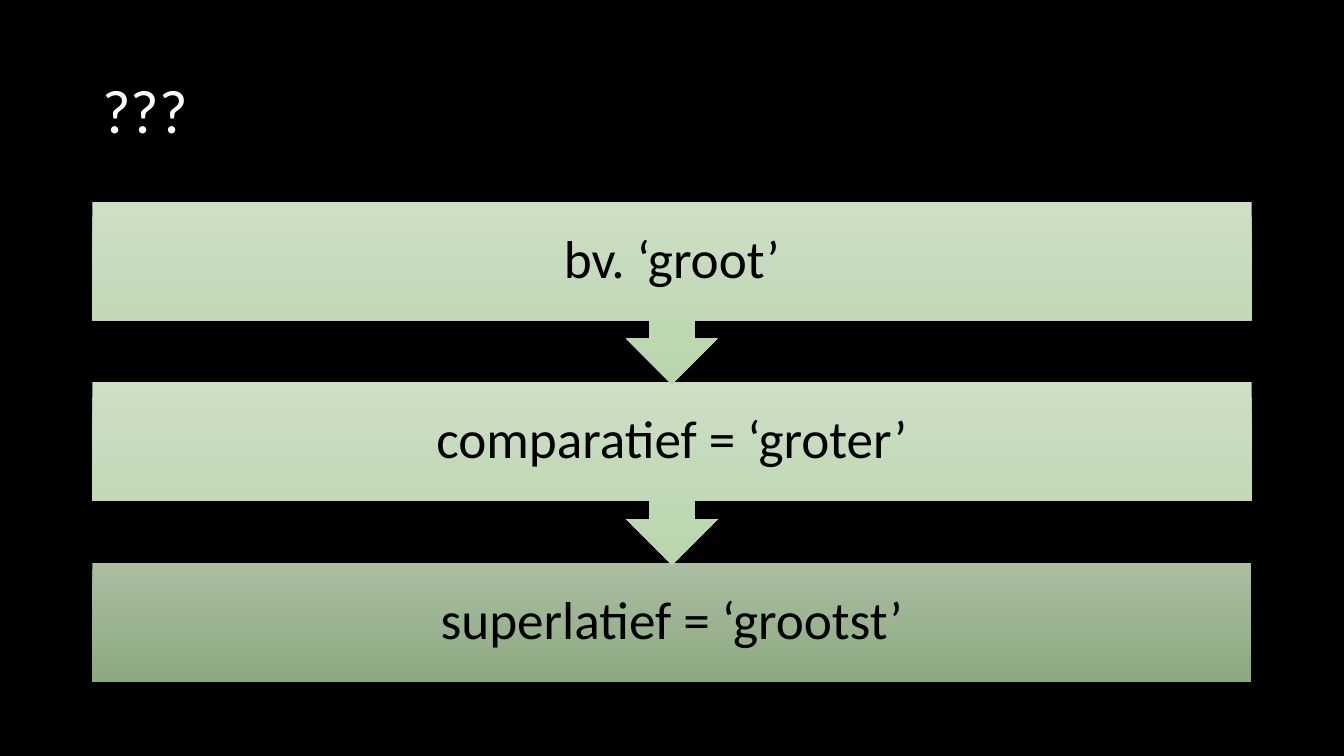
from pptx import Presentation
from pptx.dml.color import RGBColor
from pptx.enum.shapes import MSO_SHAPE as Shape
from pptx.enum.text import MSO_ANCHOR as Anchor, PP_ALIGN as Align
from pptx.util import Pt

BLACK = RGBColor(0x00, 0x00, 0x00)
WHITE = RGBColor(0xFF, 0xFF, 0xFF)
LIGHT = (RGBColor(0xCD, 0xDF, 0xC5), RGBColor(0xBA, 0xD5, 0xAE))
DARK = (RGBColor(0xAA, 0xBE, 0xA2), RGBColor(0x8D, 0xA9, 0x82))
LEFT, WIDTH = 66, 828
TOP, STEP = 144, 129


def write(frame, text, size, color, align):
    frame.word_wrap = True
    frame.vertical_anchor = Anchor.MIDDLE
    para = frame.paragraphs[0]
    para.alignment = align
    para.line_spacing = 0.9
    run = para.add_run()
    run.text = text
    run.font.name = "Calibri"
    run.font.size = Pt(size)
    run.font.color.rgb = color


deck = Presentation()
deck.slide_width, deck.slide_height = Pt(960), Pt(540)
slide = deck.slides.add_slide(deck.slide_layouts[6])
slide.background.fill.solid()
slide.background.fill.fore_color.rgb = BLACK

# Title
title = slide.shapes.add_textbox(Pt(LEFT), Pt(28.8), Pt(WIDTH), Pt(104.4))
write(title.text_frame, "???", 44, WHITE, Align.LEFT)

# Steps of comparison, the last one without an arrow
steps = [
    ("bv. ‘groot’", Shape.DOWN_ARROW_CALLOUT, 130.5, LIGHT),
    ("comparatief = ‘groter’", Shape.DOWN_ARROW_CALLOUT, 130.5, LIGHT),
    ("superlatief = ‘grootst’", Shape.RECTANGLE, 85, DARK),
]
# Draw from the bottom up so each arrow tip lies over the next step
for i, (text, kind, height, shades) in reversed(list(enumerate(steps))):
    step = slide.shapes.add_shape(
        kind, Pt(LEFT), Pt(TOP + i * STEP), Pt(WIDTH), Pt(height))
    step.shadow.inherit = False
    step.line.fill.background()
    step.fill.gradient()
    step.fill.gradient_angle = 270
    for stop, shade in zip(step.fill.gradient_stops, shades):
        stop.color.rgb = shade
    frame = step.text_frame
    frame.margin_left = frame.margin_right = Pt(21.6)
    frame.margin_top = frame.margin_bottom = Pt(21.6)
    write(frame, text, 38, BLACK, Align.CENTER)

deck.save("out.pptx")
